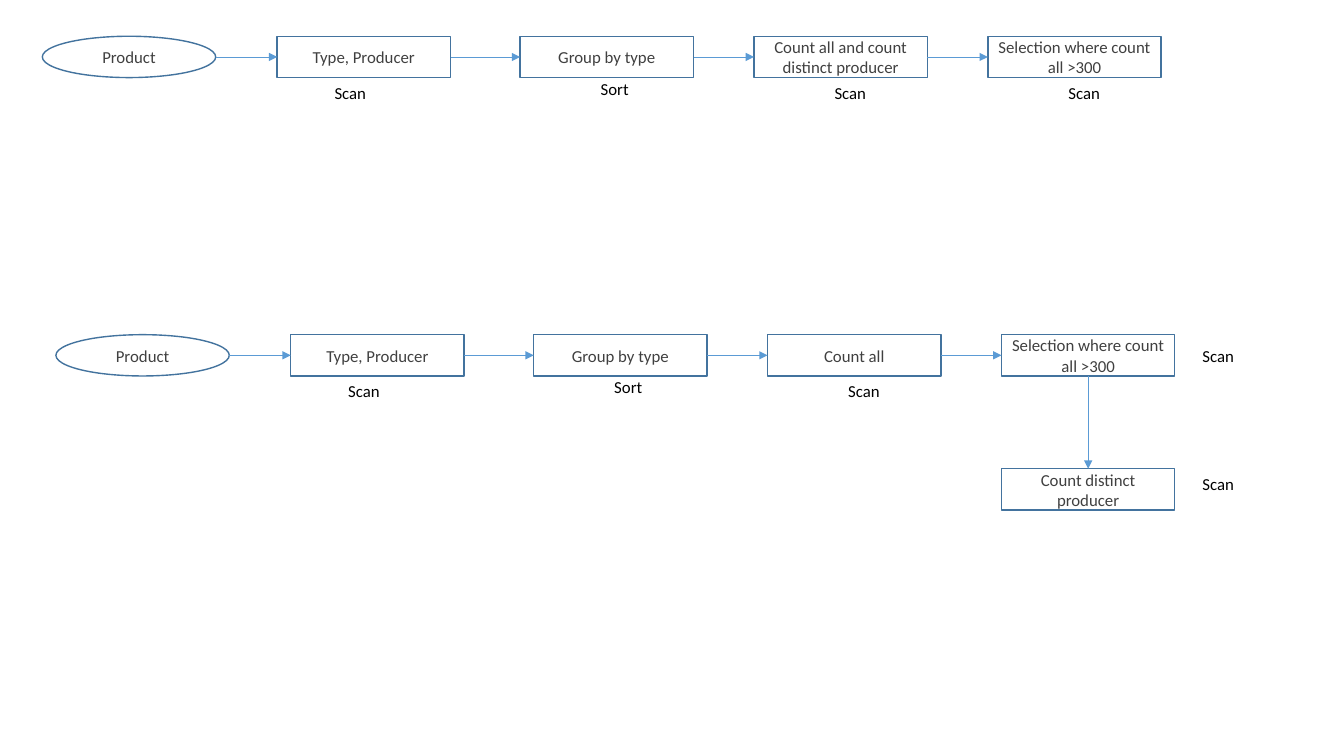
from lxml.etree import SubElement
from pptx import Presentation
from pptx.dml.color import RGBColor
from pptx.enum.shapes import MSO_CONNECTOR, MSO_SHAPE
from pptx.enum.text import MSO_ANCHOR, PP_ALIGN
from pptx.oxml.ns import qn
from pptx.util import Inches, Pt

COLUMNS, ROWS = 133.33, 75
NODE_WIDTH, NODE_HEIGHT = 17.2, 4.1
NODE_COLUMNS = (4.2, 27.5, 51.6, 74.8, 98)
LABEL_WIDTH, LABEL_HEIGHT = 5.2, 3
SIDE_LABEL_COLUMN = 118.3


def color(code):
    """Turn a hex string into a colour."""
    return RGBColor.from_string(code)


class FlowSlide:
    """Hold the style and the current slide of a flow diagram."""

    font, size = "Calibri", 12
    outline, arrow_line = "43739E", "5B9BD5"
    node_text, label_text = "404040", "000000"

    def __init__(self, deck):
        """Add a blank slide and measure its grid."""
        self.slide = deck.slides.add_slide(deck.slide_layouts[6])
        self.column = deck.slide_width / COLUMNS
        self.row = deck.slide_height / ROWS

    def place(self, *lengths):
        """Convert alternating columns and rows to slide units."""
        return [round(length * (self.row if index % 2 else self.column))
                for index, length in enumerate(lengths)]

    def add_text(self, frame, text, code, align):
        """Put one styled run into a text frame."""
        frame.word_wrap = True
        para = frame.paragraphs[0]
        para.alignment = align
        span = para.add_run()
        span.text = text
        span.font.name = self.font
        span.font.size = Pt(self.size)
        span.font.color.rgb = color(code)

    def node(self, text, left, top, kind=MSO_SHAPE.RECTANGLE):
        """Draw an outlined step with centred text."""
        shape = self.slide.shapes.add_shape(
            kind, *self.place(left, top, NODE_WIDTH, NODE_HEIGHT))
        shape.shadow.inherit = False
        shape.fill.background()
        shape.line.color.rgb = color(self.outline)
        shape.line.width = Pt(1)
        shape.text_frame.vertical_anchor = MSO_ANCHOR.MIDDLE
        self.add_text(shape.text_frame, text, self.node_text, PP_ALIGN.CENTER)

    def label(self, text, left, top):
        """Name the access method beside a step."""
        box = self.slide.shapes.add_textbox(
            *self.place(left, top, LABEL_WIDTH, LABEL_HEIGHT))
        box.text_frame.margin_right = 0
        self.add_text(box.text_frame, text, self.label_text, PP_ALIGN.LEFT)

    def arrow(self, *ends):
        """Draw a thin arrow between two grid points."""
        arrow = self.slide.shapes.add_connector(
            MSO_CONNECTOR.STRAIGHT, *self.place(*ends))
        arrow.line.color.rgb = color(self.arrow_line)
        arrow.line.width = Pt(0.5)
        properties = arrow._element.spPr
        SubElement(properties.find(qn("a:ln")), qn("a:tailEnd"), type="triangle")
        SubElement(properties, qn("a:effectLst"))

    def flow(self, steps, shift, top):
        """Draw a row of steps joined by arrows."""
        lefts = [left + shift for left in NODE_COLUMNS]
        middle = top + NODE_HEIGHT / 2
        for index, (step, left) in enumerate(zip(steps, lefts)):
            self.node(step, left, top,
                      MSO_SHAPE.RECTANGLE if index else MSO_SHAPE.OVAL)
        for start, end in zip(lefts, lefts[1:]):
            self.arrow(start + NODE_WIDTH, middle, end, middle)
        below = top + NODE_HEIGHT
        self.label("Scan", lefts[1] + 4.7, below)
        self.label("Sort", lefts[2] + 7, below - 0.4)
        self.label("Scan", lefts[3] + 7, below)
        return lefts[-1], below


deck = Presentation()
deck.slide_width, deck.slide_height = Inches(13.33), Inches(7.5)
page = FlowSlide(deck)

opening = ["Product", "Type, Producer", "Group by type"]
selection = "Selection where count all >300"

last, below = page.flow(
    opening + ["Count all and count distinct producer", selection], 0, 3.6)
page.label("Scan", last + 7, below)

last, below = page.flow(opening + ["Count all", selection], 1.35, 33.2)
distinct_top = 46.5
page.node("Count distinct producer", last, distinct_top)
center = last + NODE_WIDTH / 2
page.arrow(center, below, center, distinct_top)
for top in (33.8, distinct_top):
    page.label("Scan", SIDE_LABEL_COLUMN, top)

deck.save("out.pptx")
